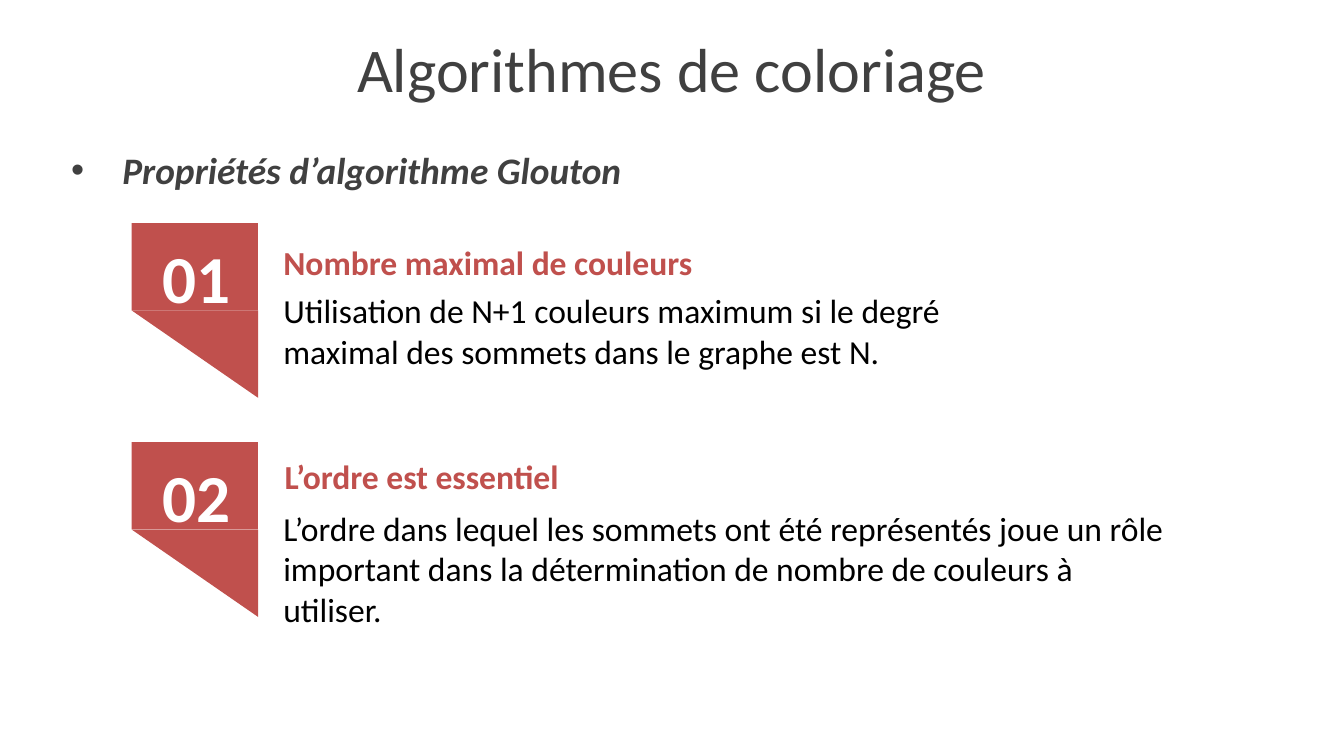
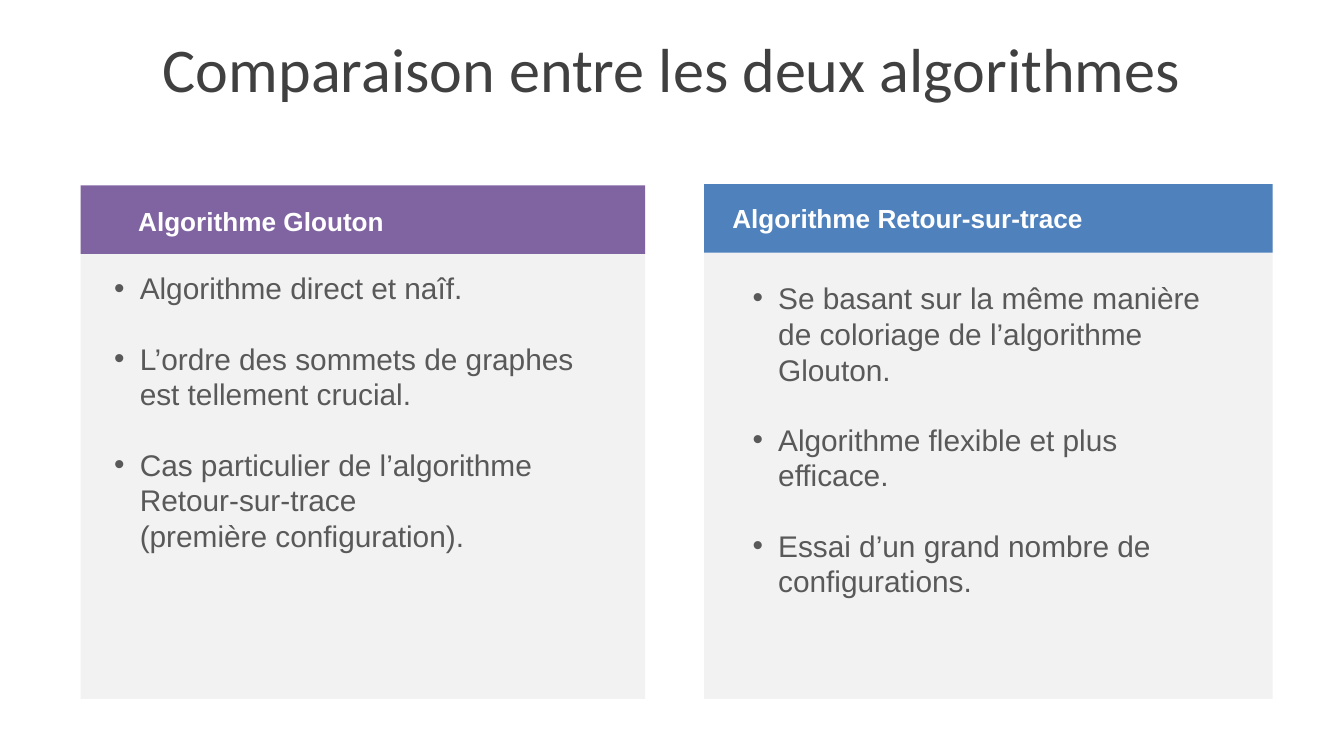
from dataclasses import dataclass

from lxml.etree import SubElement
from pptx import Presentation
from pptx.dml.color import RGBColor
from pptx.enum.shapes import MSO_SHAPE
from pptx.enum.text import MSO_ANCHOR, MSO_AUTO_SIZE, PP_ALIGN
from pptx.oxml.ns import qn
from pptx.util import Inches, Pt


@dataclass(frozen=True)
class TextStyle:
    name: str
    size: float
    color: str
    bold: bool = False
    italic: bool = False


class Theme:
    red, purple, blue = "C0504D", "8064A2", "4F81BD"
    panel = "F2F2F2"
    title = TextStyle("Calibri", 33.3, "404040")
    topic = TextStyle("Calibri", 20, "404040", bold=True, italic=True)
    number = TextStyle("Calibri", 36, "FFFFFF", bold=True)
    heading = TextStyle("Calibri", 18, red, bold=True)
    caption = TextStyle("Calibri", 18, "000000")
    header = TextStyle("Arial", 14, "FFFFFF", bold=True)
    bullet = TextStyle("Arial", 16, "595959")


class SlideBuilder:
    width, height = Inches(10), Inches(5.625)
    columns, rows = 100, 56.25

    def __init__(self):
        self.deck = Presentation()
        self.deck.slide_width, self.deck.slide_height = self.width, self.height
        self.page = None

    def start(self, layout, title):
        self.page = self.deck.slides.add_slide(self.deck.slide_layouts.get_by_name(layout))
        box = self.place(self.page.shapes.title, (0, 1.4, 100, 6.3))
        self.fill_text(box, [title], Theme.title, align=PP_ALIGN.CENTER)
        self.center(box, Theme.title)

    def area(self, left, top, width, height):
        column, row = self.width / self.columns, self.height / self.rows
        return [round(value) for value in (left * column, top * row, width * column, height * row)]

    def place(self, box, area):
        for name, value in zip(("left", "top", "width", "height"), self.area(*area)):
            setattr(box, name, value)
        self.page.shapes.element.append(box.element)
        return box

    def center(self, box, style):
        frame = box.text_frame
        frame.vertical_anchor = MSO_ANCHOR.MIDDLE
        frame.margin_top = Inches(0.05) + Pt(style.size * 0.2)

    def fill_text(self, box, lines, style, align=PP_ALIGN.LEFT, indent=0, gap=0):
        frame = box.text_frame
        frame.word_wrap = True
        frame.auto_size = MSO_AUTO_SIZE.NONE
        for index, line in enumerate(lines):
            para = frame.add_paragraph() if index else frame.paragraphs[0]
            para.text = line
            if indent:
                self.add_bullet(para, indent)
            para.alignment = align
            para.space_before = Pt(gap if index else 0)
            self.format_font(para.font, style)

    def format_font(self, font, style):
        values = {"name": style.name, "size": Pt(style.size), "bold": style.bold, "italic": style.italic}
        for name, value in values.items():
            setattr(font, name, value)
        font.color.rgb = RGBColor.from_string(style.color)

    def add_bullet(self, para, indent):
        properties = para._p.get_or_add_pPr()
        properties.set("marL", str(Inches(indent)))
        properties.set("indent", str(-Inches(indent)))
        SubElement(properties, qn("a:buFont"), typeface="Arial")
        SubElement(properties, qn("a:buChar"), char="•")

    def text(self, area, words, style, align=PP_ALIGN.LEFT):
        box = self.page.shapes.add_textbox(*self.area(*area))
        self.fill_text(box, [words], style, align)

    def bullets(self, number, area, lines, style, indent, gap=0):
        box = self.place(self.page.placeholders[number], area)
        self.fill_text(box, lines, style, indent=indent, gap=gap)
        return box

    def shape(self, kind, area, color):
        shape = self.page.shapes.add_shape(kind, *self.area(*area))
        shape.shadow.inherit = False
        shape.fill.solid()
        shape.fill.fore_color.rgb = RGBColor.from_string(color)
        shape.line.fill.background()
        return shape

    def badge(self, top, number):
        self.shape(MSO_SHAPE.RECTANGLE, (9.8, top, 9.4, 6.5), Theme.red)
        fold = self.shape(MSO_SHAPE.ISOSCELES_TRIANGLE, (9.8, top + 6.5, 9.4, 6.5), Theme.red)
        fold.adjustments[0] = 0
        fold.rotation = 180
        self.text((10.7, top + 0.5, 7.8, 7.1), f"{number:02}", Theme.number, PP_ALIGN.CENTER)


def build_properties(builder):
    builder.start("Title and Content", "Algorithmes de coloriage")
    topic = builder.bullets(1, (4.3, 9.2, 87.4, 6.3), ["Propriétés d’algorithme Glouton"], Theme.topic, 0.38)
    builder.center(topic, Theme.topic)
    properties = [
        ("Nombre maximal de couleurs", (20.1, 17.5, 70.9, 7.1),
         "Utilisation de N+1 couleurs maximum si le degré maximal des sommets dans le graphe est N.",
         (20.1, 21.1, 58.3, 7.1)),
        ("L’ordre est essentiel", (20.2, 33.4, 70.9, 4),
         "L’ordre dans lequel les sommets ont été représentés joue un rôle important "
         "dans la détermination de nombre de couleurs à utiliser.",
         (20.1, 37.3, 67.7, 10.1)),
    ]
    for index, (heading, heading_area, caption, caption_area) in enumerate(properties):
        builder.badge(16.6 + 16.3 * index, index + 1)
        builder.text(heading_area, heading, Theme.heading)
        builder.text(caption_area, caption, Theme.caption)


def build_comparison(builder):
    builder.start("Two Content", "Comparaison entre les deux algorithmes")
    algorithms = [
        ("Algorithme Glouton", Theme.purple, (6, 42), 13.8, (9.3, 14.8, 37.7, 3.4), (7.5, 19.6, 37.1, 22.6),
         ["Algorithme direct et naîf.",
          "L’ordre des sommets de graphes est tellement crucial.",
          "Cas particulier de l’algorithme Retour-sur-trace\v(première configuration)."]),
        ("Algorithme Retour-sur-trace", Theme.blue, (52.4, 42.3), 13.7, (53.5, 14.6, 37.9, 3.4), (55, 20.3, 37.1, 25.2),
         ["Se basant sur la même manière de coloriage de l’algorithme Glouton.",
          "Algorithme flexible et plus efficace.",
          "Essai d’un grand nombre de configurations."]),
    ]
    for number, (name, color, (left, width), top, name_area, list_area, traits) in enumerate(algorithms, 1):
        builder.shape(MSO_SHAPE.RECTANGLE, (left, 14.8, width, 37.2), Theme.panel)
        builder.shape(MSO_SHAPE.RECTANGLE, (left, top, width, 5.1), color)
        builder.bullets(number, list_area, traits, Theme.bullet, 0.19, gap=18.4)
        builder.text(name_area, name, Theme.header)


def main():
    builder = SlideBuilder()
    build_properties(builder)
    build_comparison(builder)
    builder.deck.save("out.pptx")


if __name__ == "__main__":
    main()
